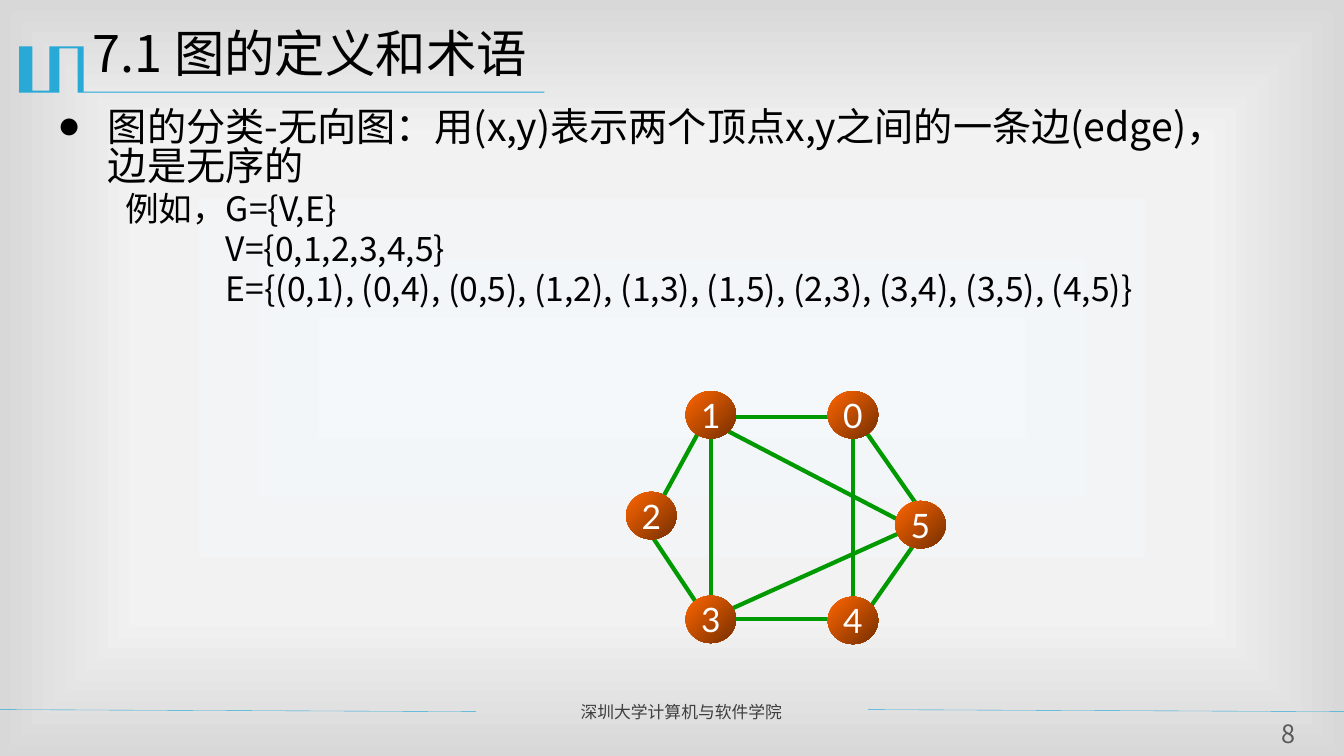
from pptx import Presentation
from pptx.dml.color import RGBColor
from pptx.enum.shapes import MSO_CONNECTOR, MSO_SHAPE
from pptx.enum.text import MSO_ANCHOR, MSO_AUTO_SIZE, PP_ALIGN
from pptx.oxml import parse_xml
from pptx.oxml.ns import nsdecls, qn
from pptx.util import Pt

PX = 9144
CJK, LATIN = "Noto Sans CJK SC", "Lato"
BLACK, BLUE, GREEN = "000000", "28A9D6", "009900"
LINE, OVAL = MSO_CONNECTOR.STRAIGHT, MSO_SHAPE.OVAL
TOP, MIDDLE = MSO_ANCHOR.TOP, MSO_ANCHOR.MIDDLE
LEFT, CENTER, JUSTIFY = PP_ALIGN.LEFT, PP_ALIGN.CENTER, PP_ALIGN.JUSTIFY
rgb = RGBColor.from_string


def write(p, text, size, color, align=LEFT, font=CJK):
    p.alignment = align
    r = p.add_run()
    r.text = text
    for key, value in {"size": Pt(size), "name": font, "bold": False}.items():
        setattr(r.font, key, value)
    r.font.color.rgb = rgb(color)
    r.font._element.append(parse_xml(f'<a:ea {nsdecls("a")} typeface="{font}"/>'))


def place(sp, left, top, width, height):
    box = {"left": left, "top": top, "width": width, "height": height}
    for key, value in box.items():
        setattr(sp, key, value * PX)
    return sp.text_frame


prs = Presentation()
prs.slide_width, prs.slide_height = 1333 * PX, 750 * PX
s = prs.slides.add_slide(prs.slide_layouts[1])

s.background.fill.gradient()
grad = s._element.find(".//" + qn("a:gradFill"))
stops = "".join(
    f'<a:gs pos="{pos}000"><a:srgbClr val="{color}"/></a:gs>'
    for pos, color in [(0, "F4F8FB"), (63, "F2F2F2"), (100, "D8D8D8")]
)
grad.getparent().replace(grad, parse_xml(
    f'<a:gradFill {nsdecls("a")} rotWithShape="1"><a:gsLst>{stops}</a:gsLst>'
    '<a:path path="rect"><a:fillToRect l="50000" t="50000" r="50000" b="50000"/>'
    '</a:path></a:gradFill>'))

ornament = [
    (82, 46), (83, 46), (83, 91), (540, 91), (540, 92), (77, 92), (77, 48), (59, 48),
    (59, 92), (19, 92), (19, 46), (32, 46), (32, 90), (49, 90), (49, 46),
]
fb = s.shapes.build_freeform(*ornament[0], scale=PX)
fb.add_line_segments(ornament[1:], close=True)
sp = fb.convert_to_shape()
sp.fill.solid()
sp.fill.fore_color.rgb = rgb(BLUE)
sp.line.fill.background()
sp.shadow.inherit = False

tf = place(s.shapes.title, 82, 24, 1200, 87)
tf.vertical_anchor = TOP
tf.auto_size = MSO_AUTO_SIZE.NONE
p = tf.paragraphs[0]
p.line_spacing = 0.9
write(p, "7.1 图的定义和术语", 36, BLACK)

tf = place(s.placeholders[1], 47, 104, 1213, 563)
tf.vertical_anchor = TOP
tf.auto_size = MSO_AUTO_SIZE.NONE
body = [
    (1, 50, -50, 28, "图的分类-无向图：用(x,y)表示两个顶点x,y之间的一条边(edge)，边是无序的"),
    (1, 67, 0, 24, "例如，G={V,E}"),
    (2, 117, 50, 24, "V={0,1,2,3,4,5}"),
    (2, 117, 50, 24, "E={(0,1), (0,4), (0,5), (1,2), (1,3), (1,5), (2,3), (3,4), (3,5), (4,5)}"),
]
for i, (level, margin, indent, size, text) in enumerate(body):
    p = tf.add_paragraph() if i else tf.paragraphs[0]
    p.level = level
    p.line_spacing = 0.83
    p.space_before = Pt(4.8 if i else 0)
    pPr = p._p.get_or_add_pPr()
    pPr.set("marL", str(margin * PX))
    pPr.set("indent", str(indent * PX))
    bullet = '<a:buNone {}/>' if i else '<a:buChar {} char="●"/>'
    pPr.append(parse_xml(bullet.format(nsdecls("a"))))
    write(p, text, size, BLACK)

tf = s.shapes.add_textbox(566 * PX, 691 * PX, 285 * PX, 30 * PX).text_frame
tf.word_wrap = True
write(tf.paragraphs[0], "深圳大学计算机与软件学院", 12, "3F3F3F", JUSTIFY)

tf = s.shapes.add_textbox(1248 * PX, 713 * PX, 59 * PX, 31 * PX).text_frame
tf.word_wrap = True
tf.margin_left = tf.margin_right = tf.margin_top = tf.margin_bottom = 0
write(tf.paragraphs[0], "8", 18, "595959", CENTER)

footer_rules = [(0, 704, 472, 706), (861, 704, 1333, 706)]
edges = [
    (830, 414, 730, 414), (846, 431, 846, 598), (855, 423, 913, 506),
    (696, 423, 655, 498), (705, 606, 705, 431), (905, 523, 713, 423),
    (696, 606, 646, 531), (838, 614, 713, 614), (905, 523, 721, 606),
    (913, 531, 855, 614),
]
for lines, color, width in [(footer_rules, BLUE, 0.25), (edges, GREEN, 3)]:
    for ends in lines:
        c = s.shapes.add_connector(LINE, *[v * PX for v in ends])
        c.line.color.rgb = rgb(color)
        c.line.width = Pt(width)
        c._element.spPr.append(parse_xml(f'<a:effectLst {nsdecls("a")}/>'))

vertices = {
    "1": (680, 388), "3": (680, 591), "2": (621, 488),
    "5": (888, 497), "4": (821, 592), "0": (821, 388),
}
for name, (left, top) in vertices.items():
    sp = s.shapes.add_shape(OVAL, left * PX, top * PX, 50 * PX, 47 * PX)
    sp.shadow.inherit = False
    sp.line.fill.background()
    sp.fill.gradient()
    sp.fill.gradient_angle = 315
    for stop, color in zip(sp.fill.gradient_stops, ["FF6600", "762F00"]):
        stop.color.rgb = rgb(color)
    tf = sp.text_frame
    tf.word_wrap = False
    tf.vertical_anchor = MIDDLE
    tf.margin_left = tf.margin_right = 0
    write(tf.paragraphs[0], name, 24, "FFFFFF", CENTER, LATIN)

prs.save("out.pptx")
